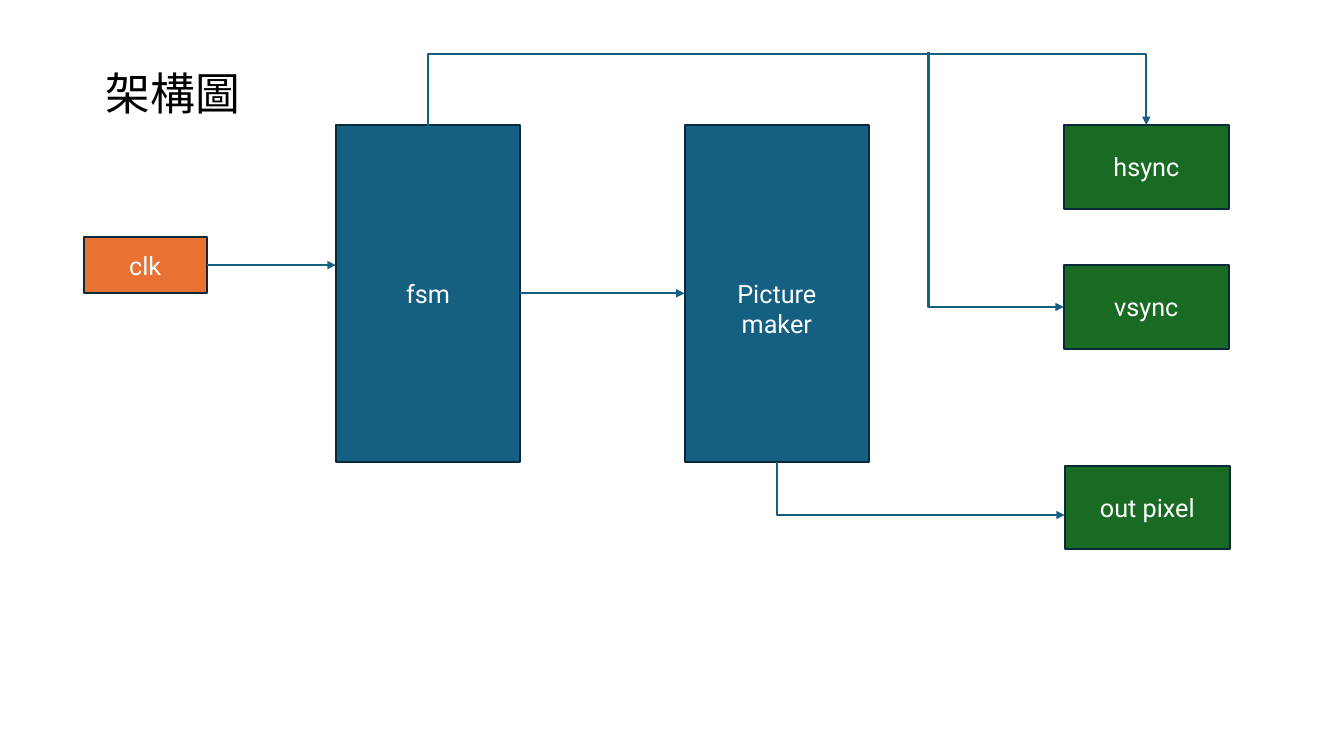
from dataclasses import dataclass

from lxml.etree import SubElement
from pptx import Presentation
from pptx.dml.color import RGBColor
from pptx.enum.shapes import MSO_CONNECTOR as Connector, MSO_SHAPE as Shape
from pptx.enum.text import MSO_ANCHOR as Anchor, MSO_AUTO_SIZE as AutoSize, PP_ALIGN as Align
from pptx.oxml.ns import qn
from pptx.util import Inches, Pt


@dataclass(frozen=True)
class Theme:
    font: str = "Roboto"
    title_size: int = 32
    label_size: int = 18
    line_width: float = 1.5
    title: str = "000000"
    label: str = "FFFFFF"
    outline: str = "092A39"
    arrow: str = "156082"
    input: str = "E97132"
    module: str = "156082"
    output: str = "196B24"


@dataclass(frozen=True)
class Box:
    left: float
    top: float
    width: float
    height: float

    @property
    def right(self):
        return self.left + self.width

    @property
    def bottom(self):
        return self.top + self.height

    @property
    def center(self):
        return self.left + self.width / 2

    @property
    def middle(self):
        return self.top + self.height / 2


THEME = Theme()
TITLE = Box(0.95, 0.6, 1.55, 0.64)
CLK = Box(0.83, 2.35, 1.22, 0.56)
FSM = Box(3.33, 1.24, 1.83, 3.34)
PICTURE_MAKER = Box(6.79, 1.24, 1.83, 3.34)
HSYNC = Box(10.55, 1.24, 1.64, 0.83)
VSYNC = Box(10.55, 2.63, 1.64, 0.83)
OUT_PIXEL = Box(10.56, 4.62, 1.64, 0.83)
BUS_TOP = 0.52
VSYNC_BRANCH = 9.21


def inches(*lengths):
    return [Inches(length) for length in lengths]


def add_run(paragraph, text, size, color):
    run = paragraph.add_run()
    run.text = text
    run.font.name = THEME.font
    run.font.size = Pt(size)
    run.font.color.rgb = RGBColor.from_string(color)


def add_title(slide, box, text):
    title = slide.shapes.title
    title.left, title.top, title.width, title.height = inches(
        box.left, box.top, box.width, box.height)
    frame = title.text_frame
    frame.word_wrap = False
    frame.auto_size = AutoSize.SHAPE_TO_FIT_TEXT
    frame.vertical_anchor = Anchor.TOP
    paragraph = frame.paragraphs[0]
    paragraph.alignment = Align.LEFT
    add_run(paragraph, text, THEME.title_size, THEME.title)


def add_block(slide, box, lines, fill, top_inset=0.05):
    shape = slide.shapes.add_shape(
        Shape.RECTANGLE, *inches(box.left, box.top, box.width, box.height))
    shape.shadow.inherit = False
    shape.fill.solid()
    shape.fill.fore_color.rgb = RGBColor.from_string(fill)
    shape.line.color.rgb = RGBColor.from_string(THEME.outline)
    shape.line.width = Pt(THEME.line_width)
    frame = shape.text_frame
    frame.word_wrap = True
    frame.vertical_anchor = Anchor.MIDDLE
    frame.margin_top = Inches(top_inset)
    for index, line in enumerate(lines):
        paragraph = frame.add_paragraph() if index else frame.paragraphs[0]
        paragraph.alignment = Align.CENTER
        add_run(paragraph, line, THEME.label_size, THEME.label)


def add_arrow(slide, kind, start, end):
    arrow = slide.shapes.add_connector(kind, *inches(*start, *end))
    arrow.line.color.rgb = RGBColor.from_string(THEME.arrow)
    arrow.line.width = Pt(THEME.line_width)
    SubElement(arrow.line._get_or_add_ln(), qn("a:tailEnd"), type="triangle")
    SubElement(arrow._element.spPr, qn("a:effectLst"))
    return arrow


def add_turned_arrow(slide, start, end, degrees, flip_vertical=False):
    center = (start[0] + end[0]) / 2
    middle = (start[1] + end[1]) / 2
    half_width = abs(end[1] - start[1]) / 2
    half_height = abs(end[0] - start[0]) / 2
    rise = half_height if flip_vertical else -half_height
    arrow = add_arrow(slide, Connector.ELBOW,
                      (center + half_width, middle + rise),
                      (center - half_width, middle - rise))
    arrow._element.spPr.find(qn("a:xfrm")).set("rot", str(degrees * 60000))
    return arrow._element.spPr.find(qn("a:prstGeom"))


def add_corner_arrow(slide, start, end):
    geometry = add_turned_arrow(slide, start, end, 270)
    geometry.set("prst", "bentConnector2")


def add_over_arrow(slide, start, end, top):
    geometry = add_turned_arrow(slide, start, end, 90, flip_vertical=True)
    ratio = (start[1] - top) / (start[1] - end[1])
    guides = geometry.find(qn("a:avLst"))
    SubElement(guides, qn("a:gd"), name="adj1", fmla=f"val {round(ratio * 100000)}")


def add_blocks(slide):
    add_block(slide, CLK, ["clk"], THEME.input)
    add_block(slide, FSM, ["fsm"], THEME.module)
    add_block(slide, PICTURE_MAKER, ["Picture", "maker"], THEME.module, top_inset=0.35)
    add_block(slide, HSYNC, ["hsync"], THEME.output)
    add_block(slide, VSYNC, ["vsync"], THEME.output)
    add_block(slide, OUT_PIXEL, ["out pixel"], THEME.output)


def add_signals(slide):
    add_arrow(slide, Connector.STRAIGHT, (CLK.right, CLK.middle), (FSM.left, CLK.middle))
    add_over_arrow(slide, (FSM.center, FSM.top + 0.01), (HSYNC.center, HSYNC.top), BUS_TOP)
    add_corner_arrow(slide, (VSYNC_BRANCH, BUS_TOP), (VSYNC.left, VSYNC.middle))
    add_arrow(slide, Connector.STRAIGHT, (FSM.right, FSM.middle),
              (PICTURE_MAKER.left, PICTURE_MAKER.middle))
    add_corner_arrow(slide, (PICTURE_MAKER.center, PICTURE_MAKER.bottom),
                     (OUT_PIXEL.left, 5.11))


def main():
    presentation = Presentation()
    presentation.slide_width, presentation.slide_height = inches(13.33, 7.5)
    slide = presentation.slides.add_slide(presentation.slide_layouts[5])
    add_title(slide, TITLE, "架構圖")
    add_blocks(slide)
    add_signals(slide)
    presentation.save("out.pptx")


if __name__ == "__main__":
    main()
